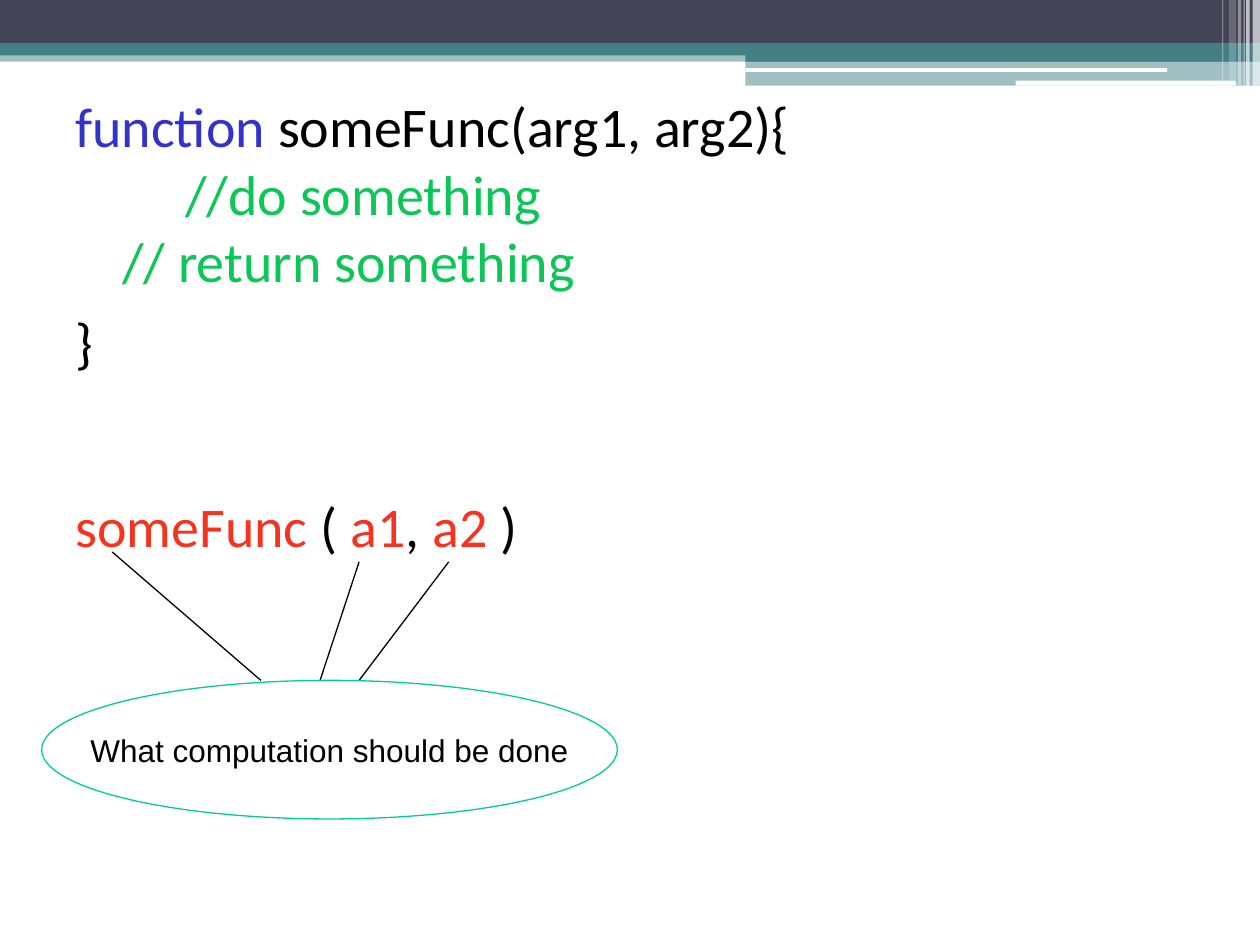
from dataclasses import dataclass

from lxml import etree
from pptx import Presentation
from pptx.dml.color import RGBColor
from pptx.enum.shapes import MSO_CONNECTOR, MSO_SHAPE
from pptx.enum.text import MSO_ANCHOR, PP_ALIGN
from pptx.oxml.ns import qn
from pptx.util import Pt


@dataclass(frozen=True)
class Theme:
    navy: str = "424456"
    teal: str = "438086"
    white: str = "FFFFFF"
    ink: str = "000000"
    keyword: str = "3333CC"
    comment: str = "0CC657"
    call: str = "F6331E"
    outline: str = "00CC99"
    code_font: str = "Calibri"
    note_font: str = "Arial"
    code_size: float = 32
    note_size: float = 18
    line_width: float = 0.75


THEME = Theme()


def rgb(color):
    return RGBColor.from_string(color)


def add_block(s, kind, x, y, w, h, color, opacity=100):
    sp = s.shapes.add_shape(kind, Pt(x), Pt(y), Pt(w), Pt(h))
    sp.shadow.inherit = False
    sp.fill.solid()
    sp.fill.fore_color.rgb = rgb(color)
    sp.line.fill.background()
    if opacity < 100:
        clr = sp.fill._xPr.find(qn("a:solidFill")).find(qn("a:srgbClr"))
        etree.SubElement(clr, qn("a:alpha"), val=str(opacity * 1000))
    return sp


def add_run(p, text, color, font, size):
    r = p.add_run()
    r.text = text
    r.font.name = font
    r.font.size = Pt(size)
    r.font.color.rgb = rgb(color)


def set_insets(tf):
    tf.margin_left = tf.margin_right = Pt(7.2)
    tf.margin_top = tf.margin_bottom = Pt(3.6)


def add_header(s, x, y, w, h):
    split = 426
    bands = [
        (0, 28.8, w, 6.5, THEME.teal, 50),
        (0, 0, w, 24.5, THEME.navy, 100),
        (0, 24.5, w, 7.2, THEME.teal, 100),
        (split, 28.1, w - split, 7.2, THEME.teal, 100),
        (split, 34.9, w - split, h - 34.9, THEME.teal, 50),
    ]
    for dx, dy, bw, bh, color, opacity in bands:
        add_block(s, MSO_SHAPE.RECTANGLE, x + dx, y + dy, bw, bh, color, opacity)
    for dx, dy, bw, bh in [(split, 38.9, 241, 2.2), (580.3, 46.1, 126, 2.9)]:
        add_block(s, MSO_SHAPE.ROUNDED_RECTANGLE, x + dx, y + dy, bw, bh, THEME.white)
    stripes = [
        (4.2, 4.2, h, 65),
        (7.9, 2, h, 65),
        (9.4, 0.7, h, 60),
        (12.7, 2, h, 40),
        (17.8, 4, 46.1, 20),
        (21.6, 0.7, 46.1, 30),
    ]
    for from_right, sw, sh, opacity in stripes:
        add_block(s, MSO_SHAPE.RECTANGLE, x + w - from_right, y, sw, sh,
                  THEME.white, opacity)


def add_code(s, x, y, w, h):
    tf = s.shapes.add_textbox(Pt(x), Pt(y), Pt(w), Pt(h)).text_frame
    tf.word_wrap = True
    set_insets(tf)
    paragraphs = [
        (0, [
            [("function", THEME.keyword), (" someFunc(arg1, arg2){", THEME.ink)],
            [("\t", THEME.ink), ("//do something", THEME.comment)],
            [("// return something", THEME.comment)],
        ]),
        (8, [[("}", THEME.ink)]]),
        (66.5, [[("someFunc", THEME.call), (" ( ", THEME.ink), ("a1", THEME.call),
                 (", ", THEME.ink), ("a2", THEME.call), (" )", THEME.ink)]]),
    ]
    for i, (before, lines) in enumerate(paragraphs):
        p = tf.add_paragraph() if i else tf.paragraphs[0]
        pPr = p._p.get_or_add_pPr()
        pPr.set("marL", str(Pt(26.8)))
        pPr.set("indent", str(Pt(-26.8)))
        if before:
            p.space_before = Pt(before)
        for j, line in enumerate(lines):
            if j:
                p.add_line_break()
            for text, color in line:
                add_run(p, text, color, THEME.code_font, THEME.code_size)


def add_callout(s, x, y, w, h):
    pointers = [(40.3, -73.4, 125.3), (181.4, -67.7, 159.1), (232.6, -67.7, 181.4)]
    for start_x, start_y, end_x in pointers:
        line = s.shapes.add_connector(
            MSO_CONNECTOR.STRAIGHT, Pt(x + start_x), Pt(y + start_y),
            Pt(x + end_x), Pt(y))
        line.line.color.rgb = rgb(THEME.ink)
        line.line.width = Pt(THEME.line_width)
        etree.SubElement(line._element.spPr, qn("a:effectLst"))

    sp = s.shapes.add_shape(MSO_SHAPE.OVAL, Pt(x), Pt(y), Pt(w), Pt(h))
    sp.shadow.inherit = False
    sp.fill.background()
    sp.line.color.rgb = rgb(THEME.outline)
    sp.line.width = Pt(THEME.line_width)
    tf = sp.text_frame
    tf.word_wrap = False
    tf.vertical_anchor = MSO_ANCHOR.MIDDLE
    set_insets(tf)
    p = tf.paragraphs[0]
    p.alignment = PP_ALIGN.CENTER
    add_run(p, "What computation should be done", THEME.ink,
            THEME.note_font, THEME.note_size)


def main():
    prs = Presentation()
    prs.slide_width, prs.slide_height = Pt(720), Pt(540)
    s = prs.slides.add_slide(prs.slide_layouts[6])
    add_header(s, 0, 0, 720, 49)
    add_code(s, 36, 49, 648, 356.4)
    add_callout(s, 23.8, 388.8, 329, 79.2)
    prs.save("out.pptx")


if __name__ == "__main__":
    main()
